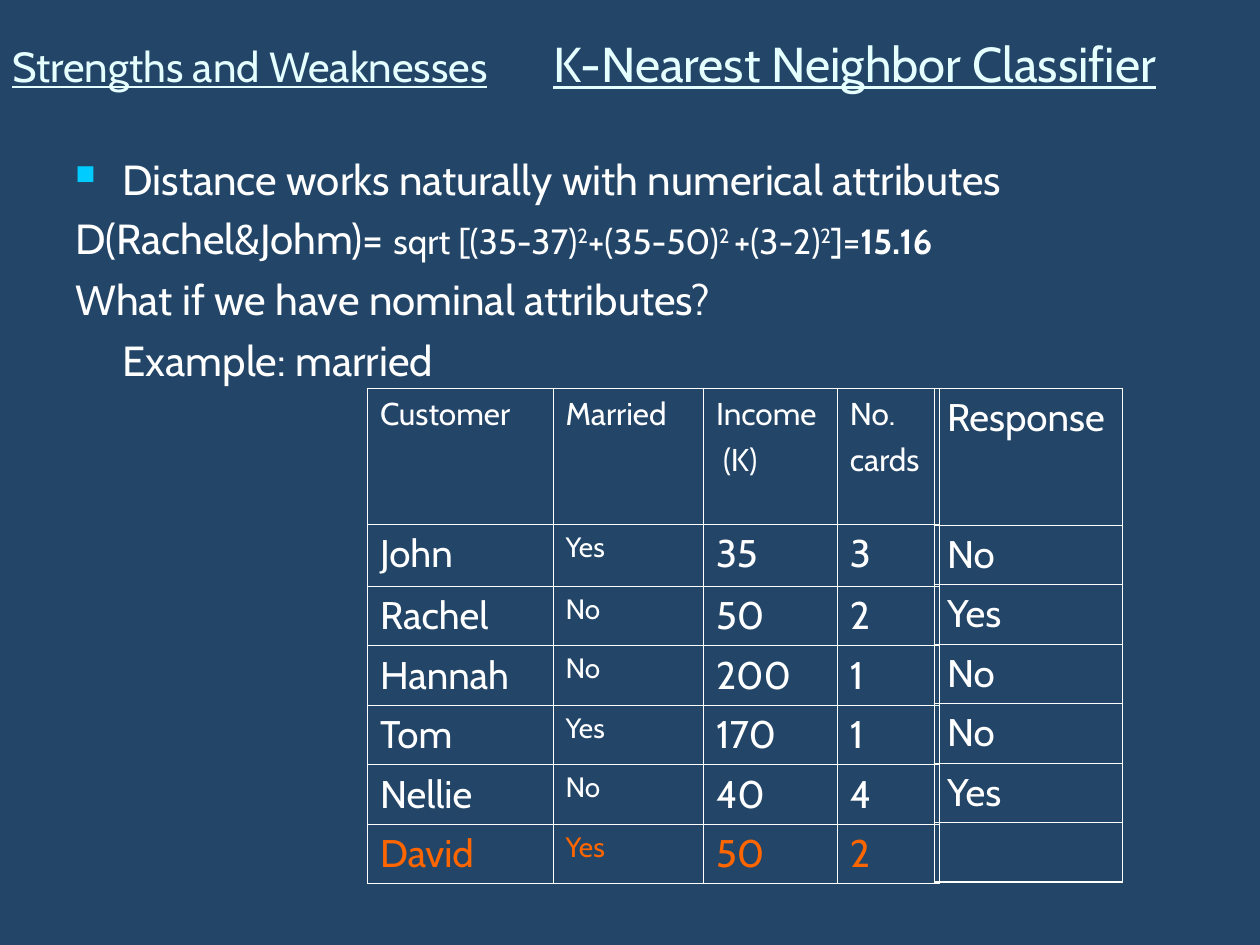
"""Build the slide on strengths and weaknesses of the k-nearest neighbor classifier."""
import lxml.etree
import pptx
import pptx.dml.color
import pptx.enum.text
import pptx.oxml.ns
import pptx.util

Pt = pptx.util.Pt
qn = pptx.oxml.ns.qn
COLORS = {"background": "224568", "title": "E5FFFF", "text": "FFFFFF",
          "bullet": "00CCFF", "highlight": "FF6600"}


def style(font, size, color):
    font.name = "Cabin"
    font.size = Pt(size)
    font.color.rgb = pptx.dml.color.RGBColor.from_string(COLORS[color])


def add_grid(page, left, top, widths, heights, rows, small_columns, header_size):
    frame = page.shapes.add_table(len(heights), len(widths), Pt(left), Pt(top),
                                  Pt(sum(widths)), Pt(sum(heights)))
    table = frame.table
    table.first_row = table.horz_banding = False
    for column, width in zip(table.columns, widths):
        column.width = Pt(width)
    for row, height in zip(table.rows, heights):
        row.height = Pt(height)
    last_row, last_column = len(heights) - 1, len(widths) - 1
    for i, values in enumerate(rows):
        for j, value in enumerate(values):
            cell = table.cell(i, j)
            size = header_size if i == 0 else 16 if j in small_columns else 22
            cell.text = value
            for para in cell.text_frame.paragraphs:
                para.space_before = Pt(size / 4)
                style(para.font, size, "highlight" if values[0] == "David" else "text")
            outer = {"a:lnL": j == 0, "a:lnR": j == last_column,
                     "a:lnT": i == 0, "a:lnB": i == last_row}
            properties = cell._tc.get_or_add_tcPr()
            for tag, is_outer in outer.items():
                line = lxml.etree.SubElement(properties, qn(tag), w=str(Pt(1.08 if is_outer else 0.45)))
                fill = lxml.etree.SubElement(line, qn("a:solidFill"))
                lxml.etree.SubElement(fill, qn("a:srgbClr"), val=COLORS["text"])
            cell.fill.background()


deck = pptx.Presentation()
deck.slide_width, deck.slide_height = Pt(720), Pt(540)
page = deck.slides.add_slide(deck.slide_layouts[6])
page.background.fill.solid()
page.background.fill.fore_color.rgb = pptx.dml.color.RGBColor.from_string(COLORS["background"])

body = page.shapes.add_textbox(Pt(36), Pt(84), Pt(630), Pt(162)).text_frame
body.word_wrap = True
formula = [("D(Rachel&Johm)= ", 24, False), ("sqrt [(35-37)", 20, False), ("2", 20, True),
           ("+(35-50)", 20, False), ("2 ", 20, True), ("+(3-2)", 20, False),
           ("2", 20, True), ("]=", 20, False), ("15.16", 20, False)]
lines = [
    ([("Distance works naturally with numerical attributes", 24, False)], -27, 6),
    (formula, -27, 5),
    ([("What if we have nominal attributes?", 24, False)], -27, 6),
    ([("Example: married", 24, False)], 0, 6),
]
for number, (spans, indent, gap) in enumerate(lines):
    para = body.paragraphs[0] if number == 0 else body.add_paragraph()
    para.space_before = Pt(gap)
    properties = para._p.get_or_add_pPr()
    properties.set("marL", str(Pt(27)))
    properties.set("indent", str(Pt(indent)))
    if number == 0:
        color = lxml.etree.SubElement(properties, qn("a:buClr"))
        lxml.etree.SubElement(color, qn("a:srgbClr"), val=COLORS["bullet"])
        lxml.etree.SubElement(properties, qn("a:buSzPct"), val="65000")
        lxml.etree.SubElement(properties, qn("a:buChar"), char="■")
    for text, size, raised in spans:
        span = para.add_run()
        span.text = text
        style(span.font, size, "text")
        if raised:
            span.font._element.set("baseline", "30000")
        if text == "15.16":
            span.font.bold = True

customers = [
    ("Customer", "Married", "Income\n (K)", "No.\ncards"),
    ("John", "Yes", "35", "3"),
    ("Rachel", "No", "50", "2"),
    ("Hannah", "No", "200", "1"),
    ("Tom", "Yes", "170", "1"),
    ("Nellie", "No", "40", "4"),
    ("David", "Yes", "50", "2"),
]
add_grid(page, 210, 222, [106, 86, 76.5, 58.5], [77.5, 35.5] + [34] * 5, customers, {1}, 18)

title = page.shapes.add_textbox(Pt(0), Pt(18), Pt(720), Pt(36)).text_frame
title.word_wrap = True
title.vertical_anchor = pptx.enum.text.MSO_ANCHOR.MIDDLE
para = title.paragraphs[0]
tabs = lxml.etree.SubElement(para._p.get_or_add_pPr(), qn("a:tabLst"))
lxml.etree.SubElement(tabs, qn("a:tab"), pos=str(Pt(309)), algn="l")
for text, size in [("Strengths and Weaknesses", 24), ("\tK-Nearest Neighbor Classifier", 28)]:
    span = para.add_run()
    span.text = text
    style(span.font, size, "title")
    span.font.underline = True

responses = [("Response",), ("No",), ("Yes",), ("No",), ("No",), ("Yes",), ("",)]
add_grid(page, 534, 222, [107.5], [78] + [34] * 6, responses, set(), 22)

deck.save("out.pptx")
